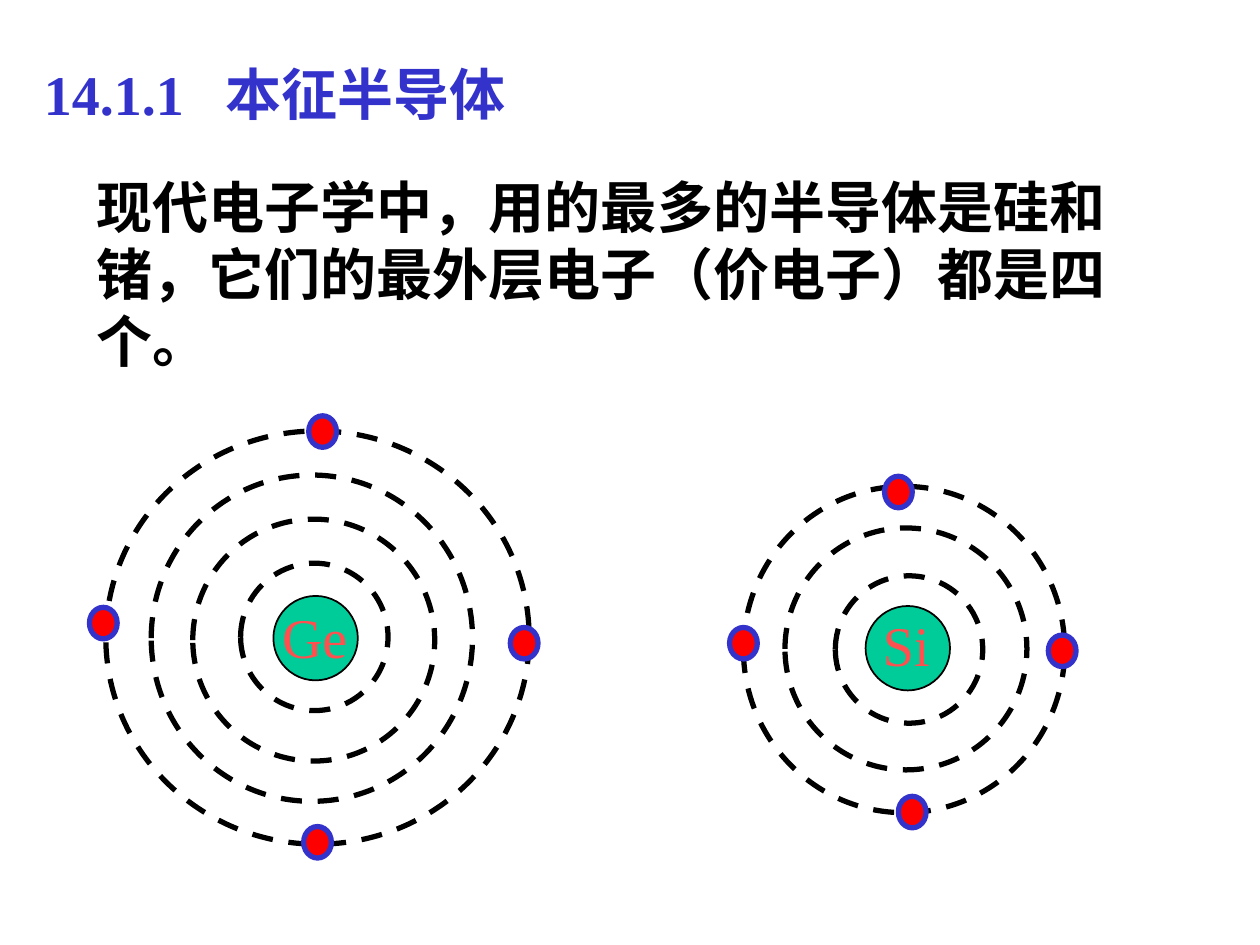
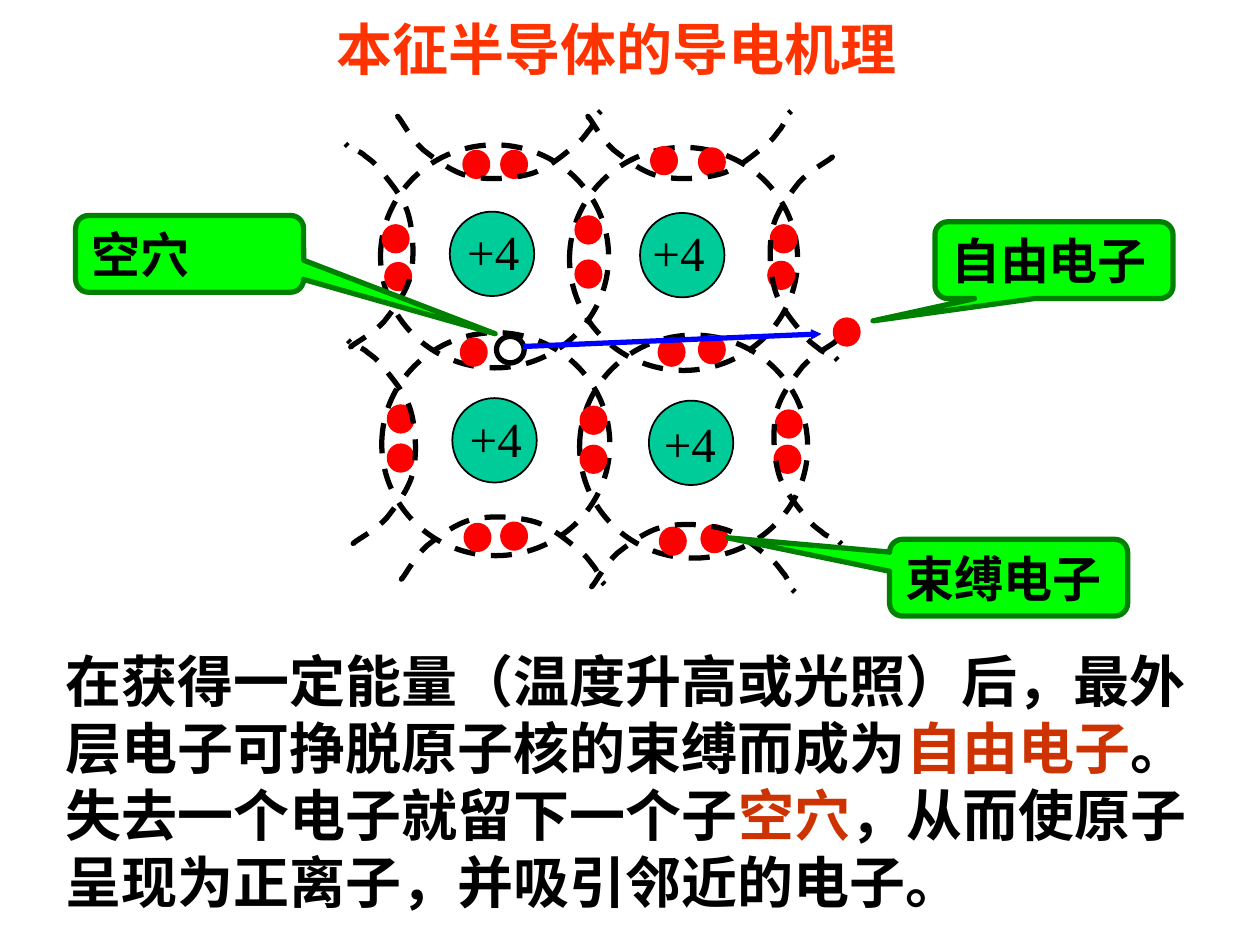
from lxml.etree import SubElement
from pptx import Presentation
from pptx.dml.color import RGBColor
from pptx.enum.dml import MSO_LINE
from pptx.enum.shapes import MSO_CONNECTOR, MSO_SHAPE
from pptx.enum.text import MSO_ANCHOR, PP_ALIGN
from pptx.oxml.ns import qn
from pptx.util import Pt

PX = 9144  # EMU per px, 100 px to the inch
FONT = "Times New Roman"
BLACK = RGBColor(0x00, 0x00, 0x00)
WHITE = RGBColor(0xFF, 0xFF, 0xFF)
INDIGO = RGBColor(0x33, 0x33, 0xCC)
RED = RGBColor(0xFF, 0x00, 0x00)
ORANGE = RGBColor(0xFF, 0x33, 0x00)
RUST = RGBColor(0xCC, 0x33, 0x00)
CORAL = RGBColor(0xFF, 0x50, 0x50)
TEAL = RGBColor(0x00, 0xCC, 0x99)
LIME = RGBColor(0x00, 0xFF, 0x00)
GREEN = RGBColor(0x00, 0x80, 0x00)
BLUE = RGBColor(0x00, 0x00, 0xFF)

NUCLEUS_SIZE = 67
VALENCE_SIZE = (22, 25)
ELECTRON_SIZE = (18, 19)
LOOP_SIZE = (181, 177)
ARC_WIDTH, ARC_HEIGHT = 56, 163

# Slide 1: each atom has its nucleus, dashed shells and four valence electrons
SECTION = "14.1.1\t本征半导体"
SECTION_TAB = 144
INTRO = "现代电子学中，用的最多的半导体是硅和锗，它们的最外层电子（价电子）都是四个。"
ATOMS = [
    {
        "symbol": "Ge", "label": (214, 473, 85, 64), "nucleus": (217, 473),
        "shells": [(153, 412, 192, 192), (120, 377, 255, 259),
                   (84, 342, 336, 328), (191, 447, 117, 117)],
        "valence": [(405, 498), (71, 482), (245, 330), (241, 656)],
    },
    {
        "symbol": "Si", "label": (691, 480, 77, 64), "nucleus": (687, 481),
        "shells": [(663, 457, 117, 117), (623, 419, 192, 192),
                   (590, 386, 255, 259)],
        "valence": [(579, 498), (713, 632), (832, 504), (702, 378)],
    },
]

# Slide 2
MECHANISM = "本征半导体的导电机理"
EXPLANATION = [
    [("在获得一定能量（温度升高或光照）后，最外层电子可挣脱原子核的束缚而成为", BLACK),
     ("自由电子", RUST), ("。", BLACK)],
    [("失去一个电子就留下一个子", BLACK), ("空穴", RUST),
     ("，从而使原子呈现为正离子，并吸引邻近的电子。", BLACK)],
]
# nucleus, dashed loop, charge label
LATTICE = [
    ((357, 168), (302, 115), (361, 171)),
    ((508, 169), (452, 117), (508, 172)),
    ((359, 316), (303, 264), (363, 319)),
    ((515, 318), (460, 266), (517, 323)),
]
BOUND_ELECTRONS = [
    (369, 121), (399, 121), (518, 118), (556, 119),
    (305, 180), (307, 210), (458, 173), (458, 208), (613, 180), (611, 209),
    (367, 270), (396, 269), (524, 270), (556, 268),
    (309, 323), (309, 354), (462, 324), (462, 355), (617, 327), (616, 355),
    (370, 417), (399, 416), (525, 420), (558, 418),
]
FREE_ELECTRON = (663, 254)
HOLE = (394, 267, 22, 21)
ESCAPE = ((415, 275), (652, 265))

# Neighbouring loop cut off at the lattice edge: start, then Bezier triples
ARC_POINTS = [
    (49, 3),
    (49, 2), (53, 0), (49, 3),
    (45, 6), (32, 13), (24, 22),
    (17, 31), (6, 45), (3, 59),
    (0, 73), (1, 93), (5, 107),
    (9, 121), (21, 134), (27, 142),
    (33, 149), (35, 150), (39, 153),
    (43, 157), (50, 159), (53, 161),
    (55, 163), (55, 163), (55, 163),
    (55, 163), (53, 161), (53, 161),
]
TURNS = {
    "right": lambda x, y: (x, y),
    "left": lambda x, y: (ARC_WIDTH - x, ARC_HEIGHT - y),
    "top": lambda x, y: (y, ARC_WIDTH - x),
    "bottom": lambda x, y: (y, x),
}
EDGE_ARCS = [
    ("right", 610, 123), ("right", 613, 269),
    ("top", 314, 87), ("top", 465, 87),
    ("bottom", 317, 409), ("bottom", 468, 415),
    ("left", 273, 114), ("left", 275, 270),
]
# text, frame, pointer adjustments, wrap
CALLOUTS = [
    ("自由电子", (742, 176, 189, 61), (-0.76, 0.79, 0.17), False),
    ("空穴", (60, 171, 181, 61), (1.34, 1.04, 0.17), True),
    ("束缚电子", (706, 428, 189, 61), (-1.18, -0.52, 0.17), False),
]


def emu(*lengths):
    return [length * PX for length in lengths]


def paint(shape, fill, line, weight, dashed=False):
    shape.shadow.inherit = False
    if fill is None:
        shape.fill.background()
    else:
        shape.fill.solid()
        shape.fill.fore_color.rgb = fill
    shape.line.color.rgb = line
    shape.line.width = Pt(weight)
    if dashed:
        shape.line.dash_style = MSO_LINE.DASH


def add_oval(page, frame, fill, line, weight=3, dashed=False):
    oval = page.shapes.add_shape(MSO_SHAPE.OVAL, *emu(*frame))
    paint(oval, fill, line, weight, dashed)


def add_shell(page, frame):
    add_oval(page, frame, None, BLACK, dashed=True)


def add_nucleus(page, corner):
    add_oval(page, (*corner, NUCLEUS_SIZE, NUCLEUS_SIZE), TEAL, BLACK, 1)


def style(para, size, color, bold):
    """Set the font, and keep punctuation inside the text width."""
    para._p.get_or_add_pPr().set("hangingPunct", "0")
    para.font.name = FONT
    para.font.size = Pt(size)
    para.font.bold = bold
    if color is not None:
        para.font.color.rgb = color


def add_label(page, frame, text, size=32, color=BLACK, bold=True, tab=None):
    box = page.shapes.add_textbox(*emu(*frame))
    box.text_frame.word_wrap = True
    para = box.text_frame.paragraphs[0]
    para.text = text
    if tab:
        stops = SubElement(para._p.get_or_add_pPr(), qn("a:tabLst"))
        SubElement(stops, qn("a:tab"), pos=str(tab * PX), algn="l")
    style(para, size, color, bold)
    return box


def add_explanation(page):
    box = page.shapes.add_textbox(*emu(42, 508, 933, 224))
    frame = box.text_frame
    frame.word_wrap = True
    for index, parts in enumerate(EXPLANATION):
        para = frame.add_paragraph() if index else frame.paragraphs[0]
        for text, color in parts:
            span = para.add_run()
            span.text = text
            span.font.color.rgb = color
        style(para, 32, None, True)


def bend(outline):
    """Turn every three straight segments of a freeform into one Bezier curve."""
    segments = list(outline._element.iter(qn("a:lnTo")))
    for first in range(0, len(segments), 3):
        curve = SubElement(segments[first].getparent(), qn("a:cubicBezTo"))
        for segment in segments[first:first + 3]:
            curve.append(segment[0])
            segment.getparent().remove(segment)


def add_edge_arc(page, side, left, top):
    turned = [TURNS[side](*point) for point in ARC_POINTS]
    points = [emu(left + x, top + y) for x, y in turned]
    builder = page.shapes.build_freeform(*points[0])
    builder.add_line_segments(points[1:], close=False)
    arc = builder.convert_to_shape()
    bend(arc)
    paint(arc, None, BLACK, 3, dashed=True)


def add_escape_arrow(page):
    start, end = ESCAPE
    arrow = page.shapes.add_connector(MSO_CONNECTOR.STRAIGHT, *emu(*start, *end))
    arrow.line.color.rgb = BLUE
    arrow.line.width = Pt(3)
    properties = arrow._element.spPr
    SubElement(properties.find(qn("a:ln")), qn("a:tailEnd"),
               type="triangle", w="sm", len="sm")
    SubElement(properties, qn("a:effectLst"))


def add_callout(page, text, frame, pointer, wrap):
    callout = page.shapes.add_shape(MSO_SHAPE.ROUNDED_RECTANGULAR_CALLOUT, *emu(*frame))
    for index, value in enumerate(pointer):
        callout.adjustments[index] = value
    paint(callout, LIME, GREEN, 3)
    callout.text_frame.word_wrap = wrap
    callout.text_frame.vertical_anchor = MSO_ANCHOR.MIDDLE
    para = callout.text_frame.paragraphs[0]
    para.text = text
    para.alignment = PP_ALIGN.LEFT
    style(para, 28, BLACK, True)


def build_atoms(page):
    add_label(page, (67, 132, 908, 117), INTRO)
    for atom in ATOMS:
        add_nucleus(page, atom["nucleus"])
        for shell in atom["shells"]:
            add_shell(page, shell)
        add_label(page, atom["label"], atom["symbol"], color=CORAL, bold=False)
        for corner in atom["valence"]:
            add_oval(page, (*corner, *VALENCE_SIZE), RED, INDIGO)
    add_label(page, (25, 42, 406, 64), SECTION, color=INDIGO, tab=SECTION_TAB)


def build_mechanism(page):
    add_explanation(page)
    for nucleus, loop, _ in LATTICE:
        add_nucleus(page, nucleus)
        add_shell(page, (*loop, *LOOP_SIZE))
    for corner in BOUND_ELECTRONS:
        add_oval(page, (*corner, *ELECTRON_SIZE), RED, RED)
    for arc in EDGE_ARCS:
        add_edge_arc(page, *arc)
    for _, _, corner in LATTICE:
        add_label(page, (*corner, 77, 57), "+4", 28, bold=False)
    title = add_label(page, (257, 6, 465, 64), MECHANISM, color=ORANGE)
    title.text_frame.word_wrap = False
    title.text_frame.vertical_anchor = MSO_ANCHOR.MIDDLE
    title.text_frame.paragraphs[0].alignment = PP_ALIGN.CENTER
    add_oval(page, (*FREE_ELECTRON, *ELECTRON_SIZE), RED, RED)
    add_oval(page, HOLE, WHITE, BLACK)
    add_escape_arrow(page)
    for callout in CALLOUTS:
        add_callout(page, *callout)


def main():
    deck = Presentation()
    deck.slide_width, deck.slide_height = emu(1000, 750)
    for build in (build_atoms, build_mechanism):
        build(deck.slides.add_slide(deck.slide_layouts[6]))
    deck.save("out.pptx")


if __name__ == "__main__":
    main()
